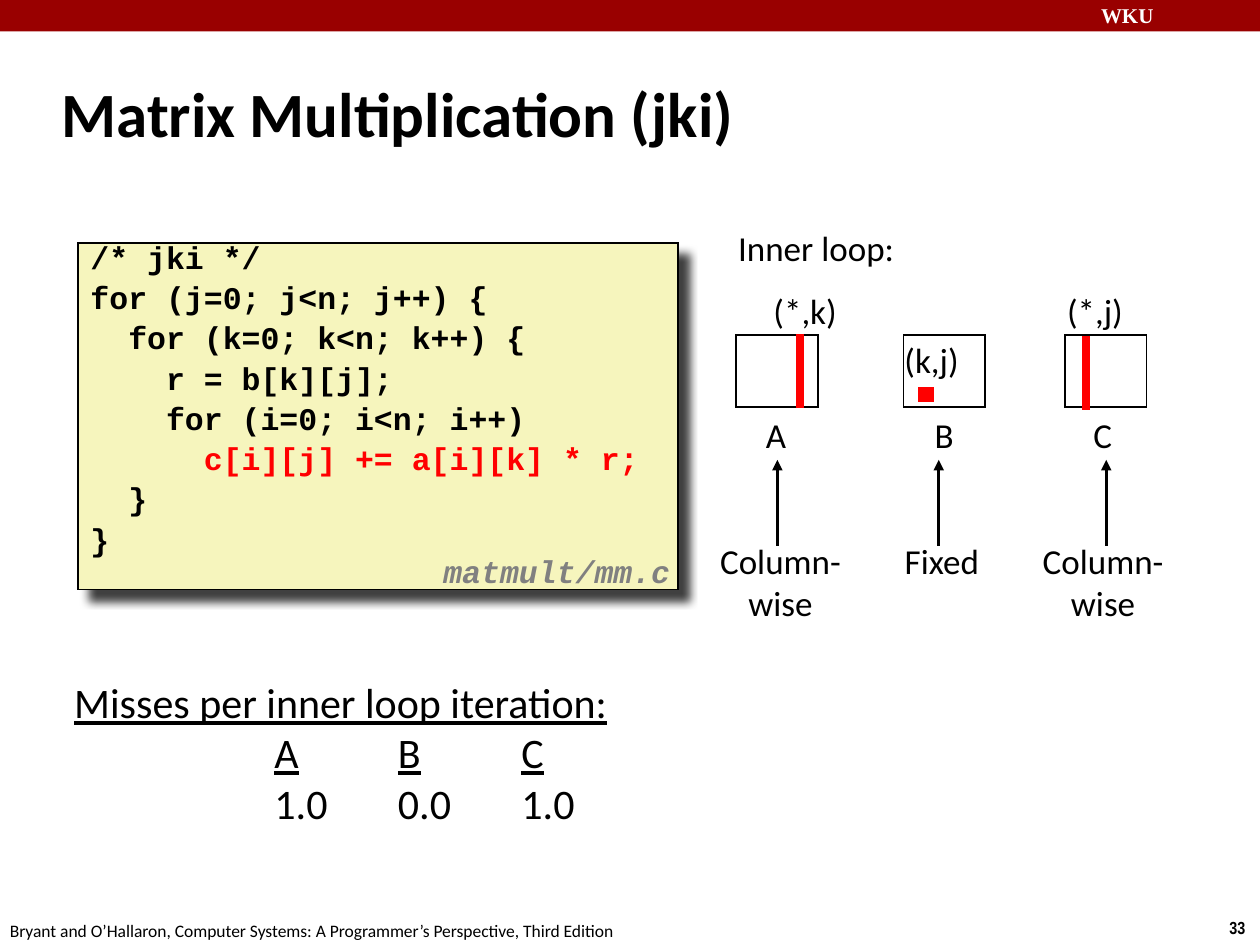
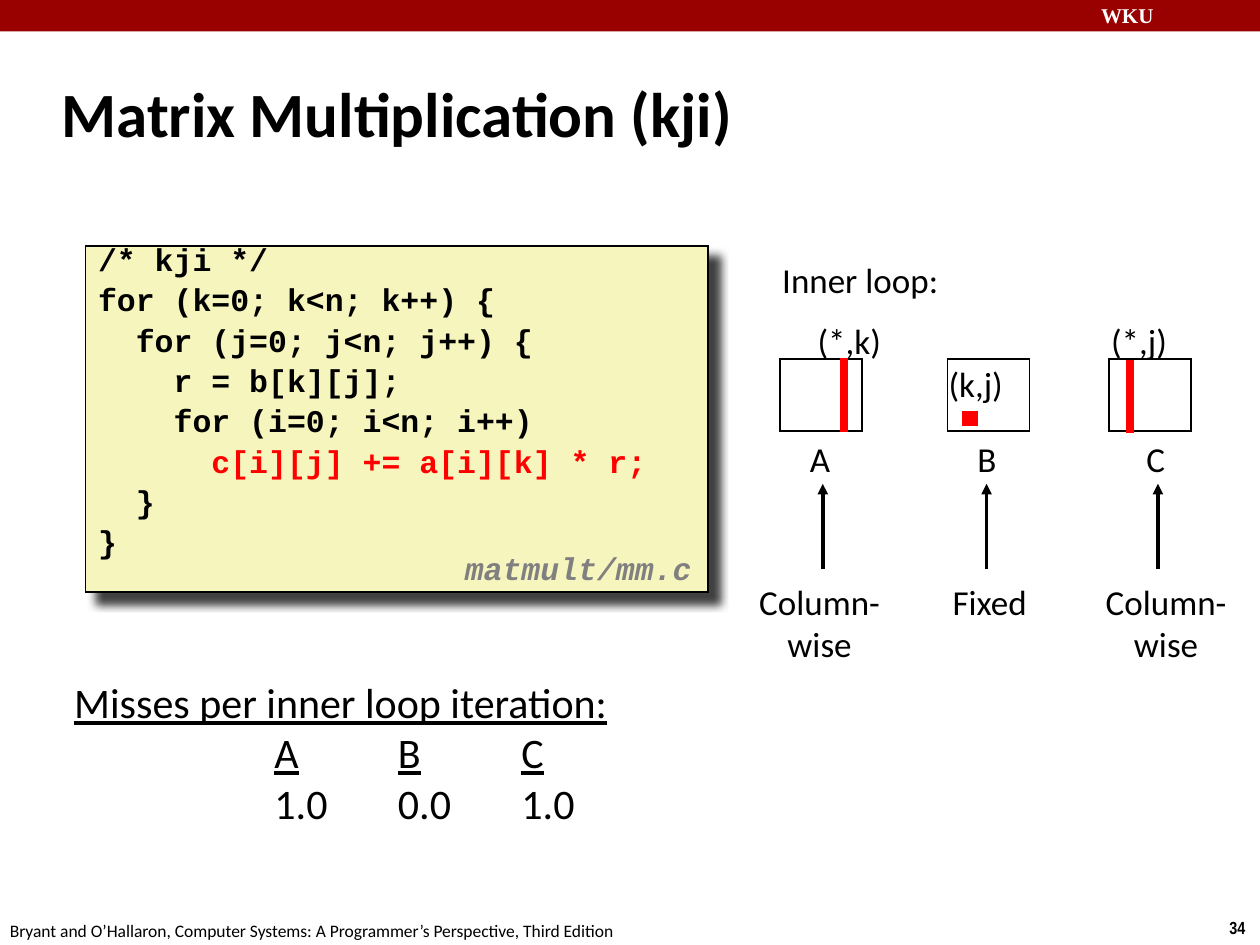
import pptx
import pptx.util
import pptx.dml.color
import pptx.enum.shapes
import pptx.enum.text
import pptx.oxml
import pptx.oxml.ns

PX = 9144

COLORS = {
    "band": "990000", "paper": "FFFFFF", "ink": "000000",
    "code": "F6F5BD", "hot": "FF0000", "file": "808080",
}
BODY, MONO = "Calibri", "Courier New"
ALIGN = pptx.enum.text.PP_ALIGN
CREDIT = "Bryant and O’Hallaron, Computer Systems: A Programmer’s Perspective, Third Edition"
HOT_LINE = "c[i][j] += a[i][k] * r;"
FILE_NAME = "matmult/mm.c"
MISSES_TITLE = "Misses per inner loop iteration:"
MISSES = {"A": "1.0", "B": "0.0", "C": "1.0"}

MATRIX_X = [0, 133, 261]
MATRIX_SIZE = (65, 57)
INDEXES = [("(*,k)", 20, 71), ("(*,j)", 253, 65)]
STRIPES = [(51, 58, -1), (278, 59, 1)]
ACCESS = [("Column-\nwise", 117, 77), ("Fixed", 79, 43), ("Column-\nwise", 117, 77)]

SLIDES = [
    {
        "order": "jki", "number": 33, "code_at": (62, 193, 476, 275), "file_at": (342, 436),
        "diagram": (584, 266), "heading_y": -91, "index_y": -41,
        "name_x": [14, 148, 274], "arrow_x": [33, 161, 294],
        "access_x": [-23, 124, 233], "access_y": 157,
    },
    {
        "order": "kji", "number": 34, "code_at": (68, 195, 494, 275), "file_at": (359, 433),
        "diagram": (619, 285), "heading_y": -85, "index_y": -36,
        "name_x": [14, 147, 281], "arrow_x": [34, 164, 300],
        "access_x": [-27, 127, 248], "access_y": 171,
    },
]


def rgb(name):
    return pptx.dml.color.RGBColor.from_string(COLORS[name])


def emu(*lengths):
    return [pptx.util.Emu(length * PX) for length in lengths]


def append_xml(parent, tag, attributes="", inner=""):
    parent.append(pptx.oxml.parse_xml(
        f'<a:{tag} {pptx.oxml.ns.nsdecls("a")} {attributes}>{inner}</a:{tag}>'))


def set_font(paragraph, size, family=BODY, color="ink", bold=False, italic=False):
    font = paragraph.font
    font.size, font.name = pptx.util.Pt(size), family
    font.bold, font.italic = bold, italic
    font.color.rgb = rgb(color)


def add_text(slide, text, at, size=20, align=ALIGN.LEFT, wrap=False, **style):
    frame = slide.shapes.add_textbox(*emu(*at)).text_frame
    frame.word_wrap = wrap
    frame.text = text
    for paragraph in frame.paragraphs:
        paragraph.alignment = align
        set_font(paragraph, size, **style)
    return frame


def add_box(slide, at, fill, line=None, width=1):
    box = slide.shapes.add_shape(pptx.enum.shapes.MSO_SHAPE.RECTANGLE, *emu(*at))
    box.shadow.inherit = False
    box.fill.solid()
    box.fill.fore_color.rgb = rgb(fill)
    if line:
        box.line.color.rgb = rgb(line)
        box.line.width = pptx.util.Pt(width)
        append_xml(box._element.spPr.find(pptx.oxml.ns.qn("a:ln")), "miter", 'lim="800000"')
    else:
        box.line.fill.background()
    return box


def add_line(slide, x, start, end, color, width, arrow=False):
    line = slide.shapes.add_connector(
        pptx.enum.shapes.MSO_CONNECTOR.STRAIGHT, *emu(x, start, x, end))
    line.line.color.rgb = rgb(color)
    line.line.width = pptx.util.Pt(width)
    properties = line._element.spPr
    if arrow:
        append_xml(properties.find(pptx.oxml.ns.qn("a:ln")), "tailEnd", 'type="triangle"')
    append_xml(properties, "effectLst")


def add_frame(slide, order, number):
    add_box(slide, (0, 0, 1000, 25), "band")
    add_text(slide, "WKU", (864, -3, 143, 30), 12, wrap=True,
             family="Times New Roman", color="paper", bold=True)
    add_text(slide, str(number), (966, 723, 34, 27), 10, family="Arial Narrow", bold=True)
    add_text(slide, CREDIT, (-2, 725, 508, 27), 10)
    title = add_text(slide, f"Matrix Multiplication ({order})", (39, 48, 830, 83), 36,
                     wrap=True, bold=True)
    title.vertical_anchor = pptx.enum.text.MSO_ANCHOR.MIDDLE


def add_code(slide, order, at):
    outer, inner = order[:2]
    lines = [
        f"/* {order} */",
        f"for ({outer}=0; {outer}<n; {outer}++) {{",
        f"  for ({inner}=0; {inner}<n; {inner}++) {{",
        "    r = b[k][j];",
        "    for (i=0; i<n; i++)",
        "      " + HOT_LINE,
        "  }",
        "}",
    ]
    box = add_box(slide, at, "code", "ink")
    append_xml(
        box._element.spPr.find(pptx.oxml.ns.qn("a:effectLst")), "outerShdw",
        'blurRad="63500" dist="107950" dir="2700000" algn="ctr" rotWithShape="0"',
        f'<a:srgbClr val="{COLORS["ink"]}"><a:alpha val="75000"/></a:srgbClr>')
    frame = box.text_frame
    frame.word_wrap = True
    frame.vertical_anchor = pptx.enum.text.MSO_ANCHOR.TOP
    frame.text = "\n".join(lines)
    for row, paragraph in enumerate(frame.paragraphs):
        paragraph.alignment = ALIGN.LEFT
        paragraph.line_spacing = 0.65
        if row:
            paragraph.space_before = pptx.util.Pt(9)
        color = "hot" if HOT_LINE in lines[row] else "ink"
        set_font(paragraph, 18, MONO, color, bold=True)


def add_diagram(slide, content):
    left, top = content["diagram"]
    add_text(slide, "Inner loop:", (left - 8, top + content["heading_y"], 145, 43))
    for x in MATRIX_X:
        add_box(slide, (left + x, top, *MATRIX_SIZE), "paper", "ink")
    for name, x in zip(MISSES, content["name_x"]):
        add_text(slide, name, (left + x, top + 57, 36, 43))
    for index, x, width in INDEXES:
        add_text(slide, index, (left + x, top + content["index_y"], width, 43))
    add_box(slide, (left + 148, top + 44, 6, 6), "hot", "hot", 4.5)
    add_text(slide, "(k,j)", (left + 124, top - 2, 63, 43))
    for x, bottom, end in STRIPES:
        add_line(slide, left + x, top + bottom, top + end, "hot", 4.5)
    for (access, width, height), x, arrow_x in zip(
            ACCESS, content["access_x"], content["arrow_x"]):
        add_text(slide, access, (left + x, top + content["access_y"], width, height),
                 align=ALIGN.CENTER)
        add_line(slide, left + arrow_x, top + 167, top + 99, "ink", 2, arrow=True)


def add_misses(slide):
    frame = add_text(slide, MISSES_TITLE, (49, 532, 601, 134), 24, wrap=True)
    frame.paragraphs[0].font.underline = True
    for cells, underline in ((MISSES.keys(), True), (MISSES.values(), False)):
        paragraph = frame.add_paragraph()
        properties = paragraph._p.get_or_add_pPr()
        for name, length in (("marL", 61), ("indent", -24), ("defTabSz", 98)):
            properties.set(name, str(length * PX))
        set_font(paragraph, 24)
        for column, cell in enumerate(cells):
            paragraph.add_run().text = "\t" if column else "\t\t"
            value = paragraph.add_run()
            value.text = cell
            if underline:
                value.font.underline = True


def main():
    deck = pptx.Presentation()
    deck.slide_width, deck.slide_height = emu(1000, 750)
    for content in SLIDES:
        slide = deck.slides.add_slide(deck.slide_layouts[6])
        add_frame(slide, content["order"], content["number"])
        add_code(slide, content["order"], content["code_at"])
        add_diagram(slide, content)
        add_misses(slide)
        label = add_text(slide, FILE_NAME, (*content["file_at"], 208, 39), 18,
                         family=MONO, color="file", bold=True, italic=True)
        label.paragraphs[0].line_spacing = 0.94
    deck.save("out.pptx")


if __name__ == "__main__":
    main()
